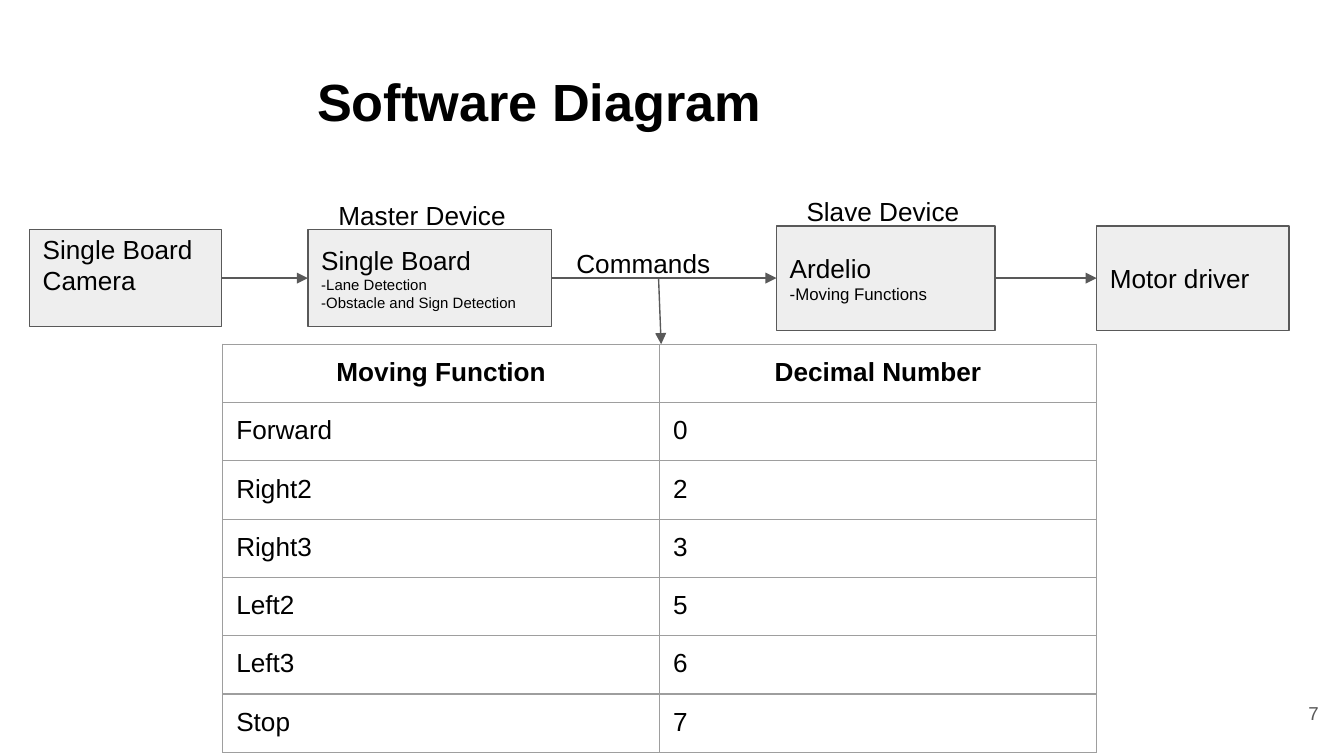
"""Build the software diagram slide with its command table."""
from lxml.etree import SubElement
from pptx import Presentation
from pptx.dml.color import RGBColor
from pptx.enum.shapes import MSO_CONNECTOR as Connector, MSO_SHAPE as Shape
from pptx.enum.text import MSO_ANCHOR as Anchor, PP_ALIGN as Align
from pptx.oxml import parse_xml
from pptx.oxml.ns import nsdecls, qn
from pptx.util import Pt

BLACK = RGBColor(0x00, 0x00, 0x00)
GREY = RGBColor(0x59, 0x59, 0x59)
LIGHT = RGBColor(0xEE, 0xEE, 0xEE)
BORDER = RGBColor(0x9E, 0x9E, 0x9E)
INSETS = dict.fromkeys(("margin_left", "margin_top", "margin_right", "margin_bottom"), Pt(7.2))


def write(frame, lines, align=Align.LEFT, color=BLACK, bold=False, **frame_format):
    for name, value in {"word_wrap": True, **INSETS, **frame_format}.items():
        setattr(frame, name, value)
    for index, (text, size) in enumerate(lines):
        paragraph = frame.add_paragraph() if index else frame.paragraphs[0]
        paragraph.alignment = align
        run = paragraph.add_run()
        run.text = text
        run.font.color.rgb = color
        for name, value in {"name": "Arial", "size": Pt(size), "bold": bold}.items():
            setattr(run.font, name, value)


def add_arrow(start, end):
    arrow = slide.shapes.add_connector(Connector.STRAIGHT, *map(Pt, start + end))
    arrow.line.color.rgb = GREY
    arrow.line.width = Pt(0.75)
    SubElement(arrow.line._get_or_add_ln(), qn("a:tailEnd"), type="triangle")
    SubElement(arrow._element.spPr, qn("a:effectLst"))
    return arrow


presentation = Presentation()
presentation.slide_width = Pt(720)
presentation.slide_height = Pt(405)
slide = presentation.slides.add_slide(presentation.slide_layouts[5])

title = slide.shapes.title
for name, value in {"left": 90.7, "top": 18, "width": 525, "height": 59.8}.items():
    setattr(title, name, Pt(value))
write(title.text_frame, [("Software Diagram", 28)], bold=True, vertical_anchor=Anchor.BOTTOM)
title_properties = title.text_frame.paragraphs[0]._p.get_or_add_pPr()
for name in ("marL", "indent"):
    title_properties.set(name, str(Pt(36)))

DEVICES = [
    (15.8, 103, 52, [("Single Board Camera", 14)], {"vertical_anchor": Anchor.TOP, "margin_top": Pt(1.8)}),
    (165, 130.3, 52, [("Single Board", 14), ("-Lane Detection", 8), ("-Obstacle and Sign Detection", 8)], {}),
    (416, 117, 56, [("Ardelio", 14), ("-Moving Functions", 9)], {}),
    (587.5, 103, 56, [("Motor driver", 14)], {}),
]
AXIS = 149
devices = []
for left, width, height, lines, frame_format in DEVICES:
    device = slide.shapes.add_shape(
        Shape.RECTANGLE, Pt(left), Pt(AXIS - height / 2), Pt(width), Pt(height))
    device.shadow.inherit = False
    device.fill.solid()
    device.fill.fore_color.rgb = LIGHT
    device.line.color.rgb = GREY
    device.line.width = Pt(0.75)
    write(device.text_frame, lines, **{"vertical_anchor": Anchor.MIDDLE, **frame_format})
    devices.append(device)

for source, target in zip(devices, devices[1:]):
    arrow = add_arrow((0, AXIS), (0, AXIS))
    arrow.begin_connect(source, 3)
    arrow.end_connect(target, 1)

LABELS = [
    ("Master Device", 174.2, 99.4, 109.4),
    ("Slave Device", 425, 97.2, 98.6),
    ("Commands", 301.7, 125.3, 103),
]
for text, left, top, width in LABELS:
    label = slide.shapes.add_textbox(Pt(left), Pt(top), Pt(width), Pt(24))
    write(label.text_frame, [(text, 14)])

number = slide.shapes.add_textbox(Pt(670.3), Pt(366.5), Pt(43.2), Pt(31))
write(number.text_frame, [("7", 10)], Align.RIGHT, GREY, vertical_anchor=Anchor.MIDDLE)

ROWS = [
    ("Moving Function", "Decimal Number"),
    ("Forward", "0"),
    ("Right2", "2"),
    ("Right3", "3"),
    ("Left2", "5"),
    ("Left3", "6"),
    ("Stop", "7"),
]
table = slide.shapes.add_table(
    len(ROWS), 2, Pt(119.4), Pt(184.4), Pt(468), Pt(30 * len(ROWS))).table
table.first_row = table.horz_banding = False
for row_index, row in enumerate(ROWS):
    header = row_index == 0
    for column_index, text in enumerate(row):
        cell = table.cell(row_index, column_index)
        for name, value in INSETS.items():
            setattr(cell, name, value)
        write(cell.text_frame, [(text, 14)], Align.CENTER if header else Align.LEFT, bold=header)
        cell.fill.background()
        for position, side in enumerate("LRTB"):
            cell._tc.get_or_add_tcPr().insert(position, parse_xml(
                f'<a:ln{side} {nsdecls("a")} w="{Pt(0.75)}"><a:solidFill>'
                f'<a:srgbClr val="{BORDER}"/></a:solidFill></a:ln{side}>'))

add_arrow((352.8, AXIS), (354.2, 184.4))

presentation.save("out.pptx")
